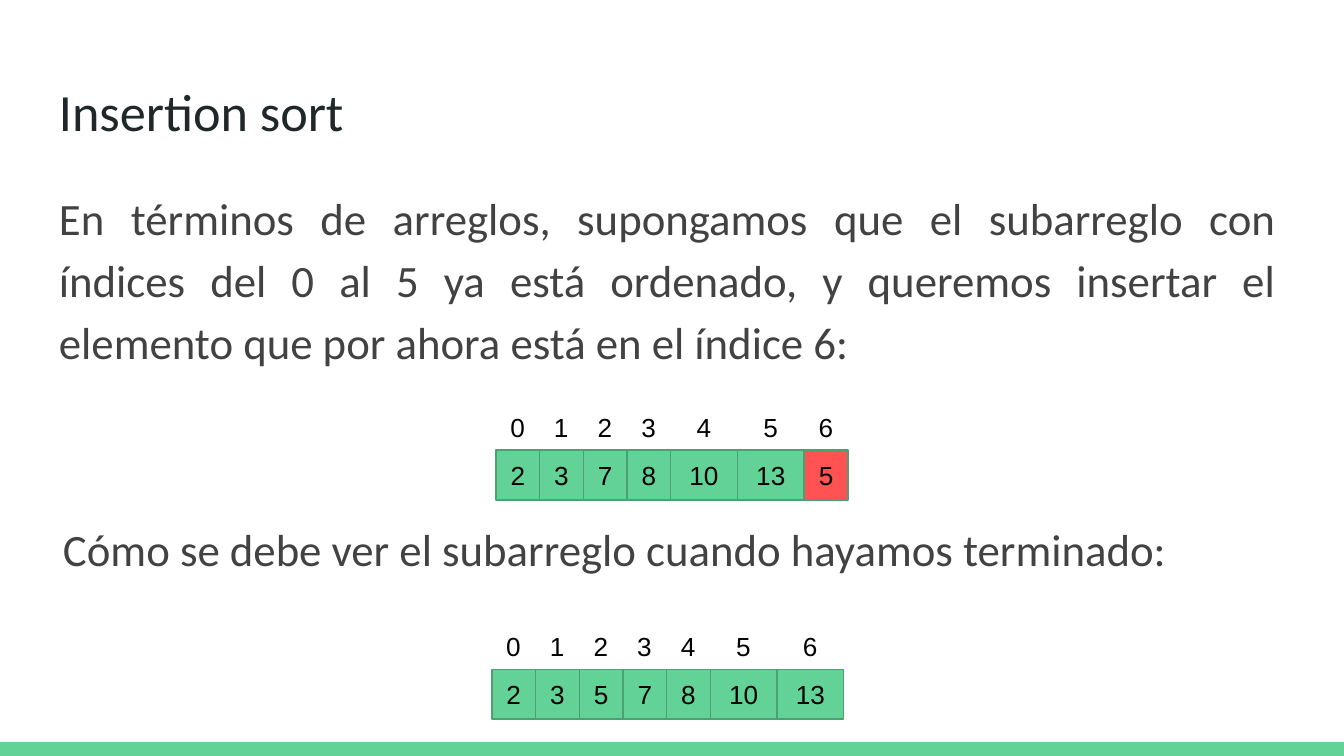
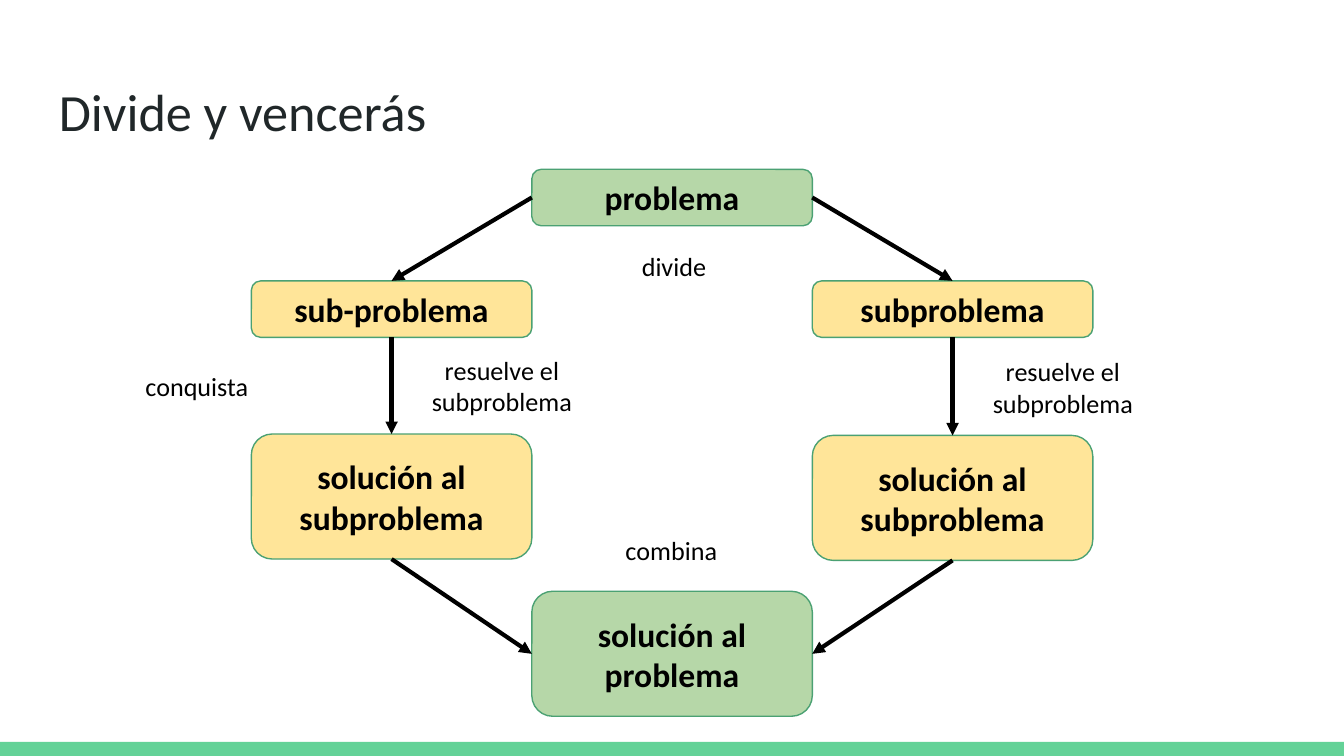
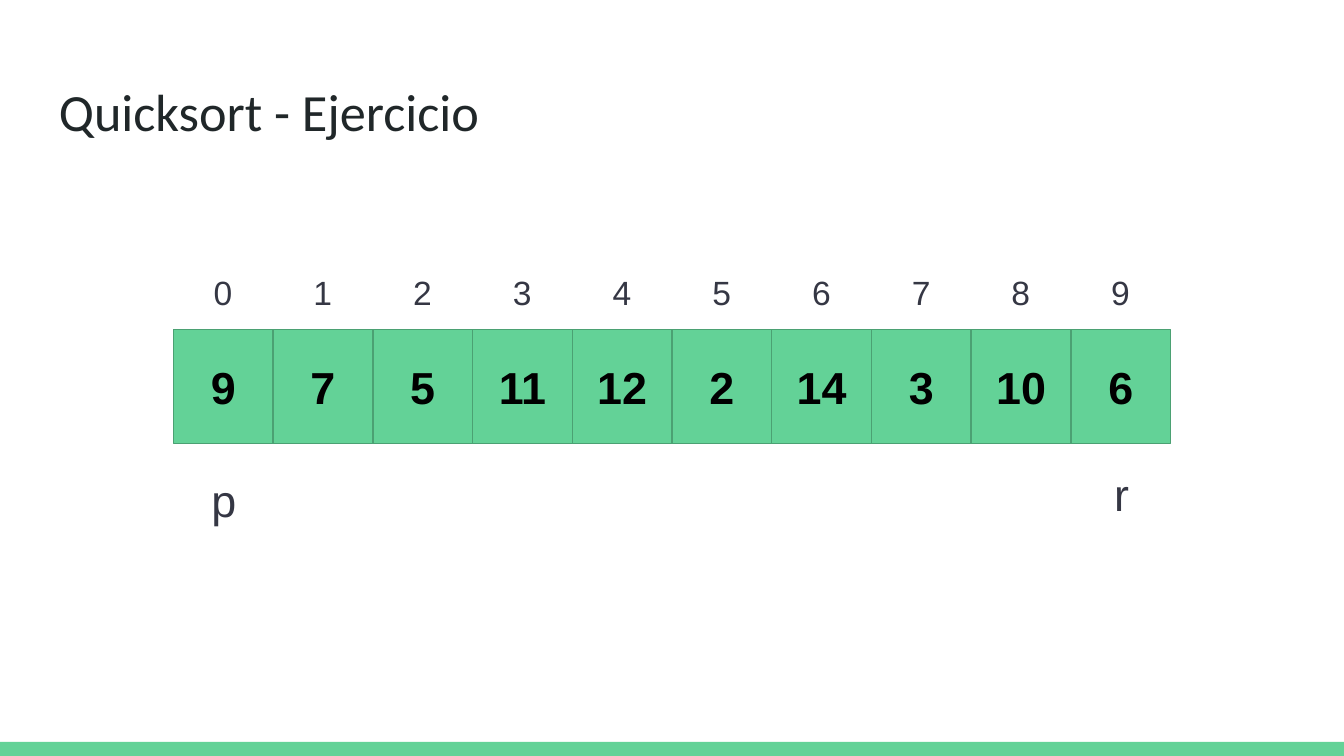
from itertools import accumulate

from lxml import etree
from pptx import Presentation
from pptx.dml.color import RGBColor
from pptx.enum.shapes import MSO_CONNECTOR, MSO_SHAPE
from pptx.enum.text import MSO_ANCHOR, PP_ALIGN
from pptx.oxml.ns import qn
from pptx.util import Inches, Pt

RECTANGLE, ROUNDED = MSO_SHAPE.RECTANGLE, MSO_SHAPE.ROUNDED_RECTANGLE
STRAIGHT = MSO_CONNECTOR.STRAIGHT
LEFT, CENTER, JUSTIFY = PP_ALIGN.LEFT, PP_ALIGN.CENTER, PP_ALIGN.JUSTIFY
TOP_ANCHOR, MIDDLE, BOTTOM_ANCHOR = MSO_ANCHOR.TOP, MSO_ANCHOR.MIDDLE, MSO_ANCHOR.BOTTOM

# Connection sites of a rectangle
TOP_SITE, LEFT_SITE, BOTTOM_SITE, RIGHT_SITE = range(4)

# Grid: square units, ten to the inch
COLUMNS, ROWS = 100, 56.25
INSET = 1

GREEN, GREEN_LINE, RED = "63D297", "4BA173", "FF5252"
SAGE, YELLOW = "B6D7A8", "FFE599"
BLACK, TITLE_INK, BODY_INK, INDEX_INK = "000000", "202729", "424242", "353744"
SANS, ROUND_SANS = "Arial", "Calibri"


def grid(units):
    return Inches(units / 10)


def color(code):
    return RGBColor.from_string(code)


class Deck:
    """Holds the shared style and the slide being built."""

    def __init__(self):
        self.deck = Presentation()
        self.deck.slide_width = grid(COLUMNS)
        self.deck.slide_height = grid(ROWS)
        self.page = None

    def new_slide(self, title):
        self.page = self.deck.slides.add_slide(self.deck.slide_layouts[6])
        self.shape(RECTANGLE, 0, 55.2, COLUMNS, ROWS - 55.2, GREEN, line=None)
        self.text(title, 3.4, 4.9, 93.2, 6.3, size=28, ink=TITLE_INK)

    def fill_text(self, box, text, size, ink, font, bold=False, align=CENTER, anchor=MIDDLE):
        frame = box.text_frame
        frame.word_wrap = True
        frame.vertical_anchor = anchor
        frame.margin_left = frame.margin_right = grid(INSET)
        frame.margin_top = frame.margin_bottom = grid(INSET)
        frame.text = text
        para = frame.paragraphs[0]
        para.alignment = align
        for span in para.runs:
            span.font.name, span.font.size, span.font.bold = font, Pt(size), bold
            span.font.color.rgb = color(ink)
        return para

    def text(self, text, left, top, width, height, size=14, ink=BLACK,
             font=ROUND_SANS, align=LEFT, anchor=TOP_ANCHOR):
        box = self.page.shapes.add_textbox(grid(left), grid(top), grid(width), grid(height))
        return self.fill_text(box, text, size, ink, font, align=align, anchor=anchor)

    def body(self, text, left, top, height):
        para = self.text(text, left, top, 92.5, height, 24, BODY_INK, align=JUSTIFY)
        para.line_spacing = 1.15
        para.space_before = para.space_after = Pt(16)

    def label(self, text, left, top, width, height=4.8, **style):
        self.text(text, left, top, width, height, align=CENTER, anchor=MIDDLE, **style)

    def shape(self, kind, left, top, width, height, fill, line=GREEN_LINE):
        box = self.page.shapes.add_shape(
            kind, grid(left), grid(top), grid(width), grid(height))
        box.shadow.inherit = False
        box.fill.solid()
        box.fill.fore_color.rgb = color(fill)
        if line:
            box.line.color.rgb = color(line)
            box.line.width = Pt(0.75)
        else:
            box.line.fill.background()
        return box

    def node(self, text, left, top, width, height, fill):
        box = self.shape(ROUNDED, left, top, width, height, fill)
        self.fill_text(box, text, 18, BLACK, ROUND_SANS, bold=True)
        return box

    def arrow(self, start, start_site, end, end_site):
        link = self.page.shapes.add_connector(STRAIGHT, 0, 0, 0, 0)
        link.begin_connect(start, start_site)
        link.end_connect(end, end_site)
        link.line.color.rgb = color(BLACK)
        link.line.width = Pt(2.25)
        properties = link.element.spPr
        etree.SubElement(properties.find(qn("a:ln")), qn("a:tailEnd"), type="triangle")
        etree.SubElement(properties, qn("a:effectLst"))

    def array(self, values, widths, left, top, height, size, bold=False, marked=None):
        offsets = accumulate(widths, initial=0)
        for value, width, offset in zip(values, widths, offsets):
            fill = RED if value == marked else GREEN
            cell = self.shape(RECTANGLE, left + offset, top, width, height, fill)
            self.fill_text(cell, str(value), size, BLACK, SANS, bold)

    def indexes(self, widths, left, top, width, height, size, ink=BLACK, anchor=TOP_ANCHOR):
        """One line of indexes, each on a tab stop centred over its cell."""
        line = "".join(f"\t{index}" for index in range(len(widths)))
        para = self.text(line, left, top, width, height, size, ink, SANS, anchor=anchor)
        stops = etree.SubElement(para._p.get_or_add_pPr(), qn("a:tabLst"))
        for end, cell in zip(accumulate(widths), widths):
            middle = grid(end - cell / 2 - INSET)
            etree.SubElement(stops, qn("a:tab"), pos=str(int(middle)), algn="ctr")


def insertion_sort(show):
    show.new_slide("Insertion sort")
    show.body("En términos de arreglos, supongamos que el subarreglo con índices del 0 al 5 "
              "ya está ordenado, y queremos insertar el elemento que por ahora está en el "
              "índice 6:", 3.4, 12.6, 16.7)
    show.body("Cómo se debe ver el subarreglo cuando hayamos terminado:", 3.7, 37.2, 7.6)

    # Array before and after the insertion; two-digit cells are wider
    for values, left, top, marked in (
            ([2, 3, 7, 8, 10, 13, 5], 36.9, 33.5, 5),
            ([2, 3, 5, 7, 8, 10, 13], 36.6, 49.8, None)):
        widths = [4.97 if value > 9 else 3.25 for value in values]
        show.array(values, widths, left, top, 3.7, 14, marked=marked)
        show.indexes(widths, left, top - 3.9, sum(widths), 3.7, 14)


def divide_and_conquer(show):
    show.new_slide("Divide y vencerás")
    width, low, tall = 20.87, 4.2, 9.3
    left, middle, right = (18.7 + width * column for column in range(3))

    # Start and end of the method
    problem = show.node("problema", middle, 12.6, width, low, SAGE)
    solution = show.node("solución al problema", middle, 44, width, tall, SAGE)

    # One branch on each side
    for name, column, answer_top, side in (
            ("sub-problema", left, 32.3, LEFT_SITE),
            ("subproblema", right, 32.4, RIGHT_SITE)):
        part = show.node(name, column, 20.9, width, low, YELLOW)
        answer = show.node("solución al subproblema", column, answer_top, width, tall, YELLOW)
        show.arrow(problem, side, part, TOP_SITE)
        show.arrow(part, BOTTOM_SITE, answer, TOP_SITE)
        show.arrow(answer, BOTTOM_SITE, solution, side)
        show.label("resuelve el subproblema", column + 11.6, answer_top - 6, 14.1)

    # Names of the steps
    for step, column, top in (
            ("divide", 44.6, 17.4), ("conquista", 9.1, 26.3), ("combina", 44.4, 38.5)):
        show.label(step, column, top, 11.1)


def quicksort(show):
    show.new_slide("Quicksort - Ejercicio")
    values = [9, 7, 5, 11, 12, 2, 14, 3, 10, 6]
    widths = [7.42] * len(values)
    show.array(values, widths, 12.9, 24.5, 8.5, 24, bold=True)
    show.indexes(widths, 12.9, 17.9, 73.3, 6.3, 18, INDEX_INK, BOTTOM_ANCHOR)

    # Bounds of the range
    for bound, column, top in (("p", 13.9, 34), ("r", 80.7, 33.6)):
        show.label(bound, column, top, 5.5, 6.3, size=24, ink=INDEX_INK, font=SANS)


def main():
    show = Deck()
    insertion_sort(show)
    divide_and_conquer(show)
    quicksort(show)
    show.deck.save("out.pptx")


if __name__ == "__main__":
    main()
